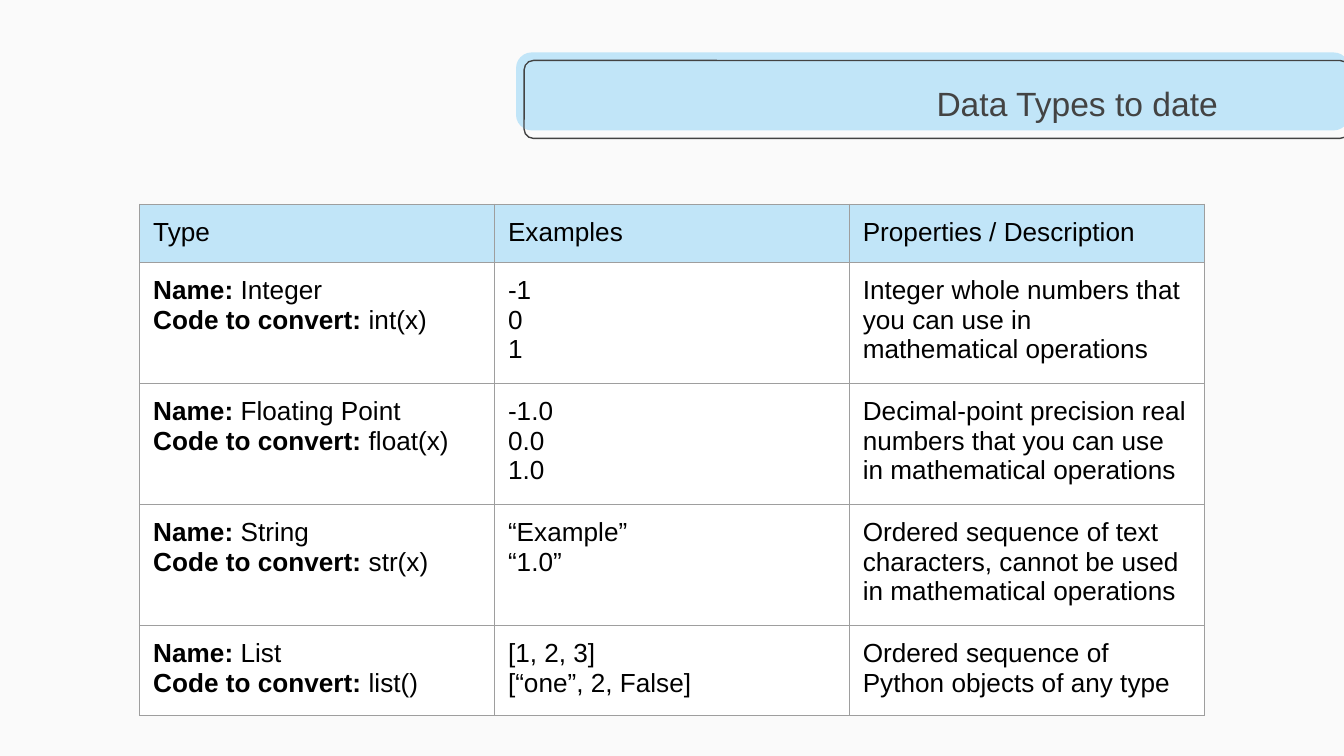
from dataclasses import dataclass

from lxml.etree import SubElement
from pptx import Presentation
from pptx.dml.color import RGBColor
from pptx.enum.shapes import MSO_SHAPE as Preset
from pptx.enum.text import MSO_ANCHOR as Anchor, PP_ALIGN as Align
from pptx.oxml.ns import qn
from pptx.shapes.autoshape import Shape
from pptx.slide import Slide
from pptx.table import _Cell as Cell
from pptx.text.text import _Paragraph as Paragraph
from pptx.util import Inches, Pt


@dataclass(frozen=True)
class Theme:
    background: str = "FAFAFA"
    accent: str = "C1E5F8"
    dark: str = "434343"
    text: str = "000000"
    cell: str = "FFFFFF"
    border: str = "9E9E9E"
    font: str = "Arial"
    title_size: float = 18
    table_size: float = 14
    line_width: float = 0.75


@dataclass(frozen=True)
class DataType:
    name: str
    conversion: str
    examples: tuple[str, ...]
    description: str


THEME = Theme()
SLIDE_WIDTH = Inches(10)
SLIDE_HEIGHT = SLIDE_WIDTH * 9 // 16
PADDING = Inches(0.1)
COLUMN_WIDTH, ROW_HEIGHT = Inches(2.64), Inches(0.42)
HEADERS = ("Type", "Examples", "Properties / Description")
DATA_TYPES = (
    DataType("Integer", "int(x)", ("-1", "0", "1"),
             "Integer whole numbers that you can use in mathematical operations"),
    DataType("Floating Point", "float(x)", ("-1.0", "0.0", "1.0"),
             "Decimal-point precision real numbers that you can use in "
             "mathematical operations"),
    DataType("String", "str(x)", ("“Example”", "“1.0”"),
             "Ordered sequence of text characters, cannot be used in "
             "mathematical operations"),
    DataType("List", "list()", ("[1, 2, 3]", "[“one”, 2, False]"),
             "Ordered sequence of Python objects of any type"),
)

# A line of text is a bold label (possibly empty) and a plain value.
Line = tuple[str, str]


def rgb(value: str) -> RGBColor:
    return RGBColor.from_string(value)


def style_paragraph(paragraph: Paragraph, size: float, color: str) -> None:
    paragraph.line_spacing = 1.0
    paragraph.space_before = paragraph.space_after = Pt(0)
    paragraph.font.name = THEME.font
    paragraph.font.size = Pt(size)
    paragraph.font.color.rgb = rgb(color)


def add_banner(slide: Slide, left: float, top: float, width: float,
               rounding: float) -> Shape:
    """Add a rounded banner with neither fill nor line."""
    banner = slide.shapes.add_shape(Preset.ROUNDED_RECTANGLE, Inches(left),
                                    Inches(top), Inches(width), Inches(0.58))
    banner.adjustments[0] = rounding
    banner.shadow.inherit = False
    banner.fill.background()
    banner.line.fill.background()
    return banner


def add_title(slide: Slide) -> None:
    backdrop = add_banner(slide, 3.84, 0.39, 6.2, 0.2)
    backdrop.fill.solid()
    backdrop.fill.fore_color.rgb = rgb(THEME.accent)
    outline = add_banner(slide, 3.9, 0.45, 6.14, 0.12)
    outline.line.color.rgb = rgb(THEME.dark)
    outline.line.width = Pt(THEME.line_width)

    title = slide.shapes.add_textbox(Inches(5.67), Inches(0.5),
                                     Inches(3.49), Inches(0.53))
    frame = title.text_frame
    frame.word_wrap = True
    frame.vertical_anchor = Anchor.MIDDLE
    frame.margin_left = frame.margin_right = PADDING
    frame.margin_top = frame.margin_bottom = PADDING
    paragraph = frame.paragraphs[0]
    paragraph.text = "Data Types to date"
    paragraph.alignment = Align.RIGHT
    style_paragraph(paragraph, THEME.title_size, THEME.dark)


def add_borders(cell: Cell) -> None:
    properties = cell._tc.get_or_add_tcPr()
    for position, side in enumerate(("lnL", "lnR", "lnT", "lnB")):
        line = SubElement(properties, qn(f"a:{side}"), w=str(Pt(THEME.line_width)))
        fill = SubElement(line, qn("a:solidFill"))
        SubElement(fill, qn("a:srgbClr"), val=THEME.border)
        properties.insert(position, line)  # borders must precede the cell fill


def fill_cell(cell: Cell, lines: list[Line], color: str) -> None:
    cell.margin_left = cell.margin_right = PADDING
    cell.margin_top = cell.margin_bottom = PADDING
    cell.fill.solid()
    cell.fill.fore_color.rgb = rgb(color)
    add_borders(cell)
    frame = cell.text_frame
    for index, (label, value) in enumerate(lines):
        paragraph = frame.add_paragraph() if index else frame.paragraphs[0]
        style_paragraph(paragraph, THEME.table_size, THEME.text)
        for text, bold in ((label, True), (value, False)):
            if text:
                run = paragraph.add_run()
                run.text = text
                run.font.bold = bold


def row_lines(data_type: DataType) -> list[list[Line]]:
    return [
        [("Name: ", data_type.name), ("Code to convert:", f" {data_type.conversion}")],
        [("", example) for example in data_type.examples],
        [("", data_type.description)],
    ]


def add_type_table(slide: Slide) -> None:
    rows = [[[("", header)] for header in HEADERS], *map(row_lines, DATA_TYPES)]
    table = slide.shapes.add_table(
        len(rows), len(HEADERS), Inches(1.04), Inches(1.52),
        COLUMN_WIDTH * len(HEADERS), ROW_HEIGHT * len(rows)).table
    table.first_row = table.horz_banding = False
    for row_index, row in enumerate(rows):
        color = THEME.cell if row_index else THEME.accent
        for column_index, lines in enumerate(row):
            fill_cell(table.cell(row_index, column_index), lines, color)


def main() -> None:
    presentation = Presentation()
    presentation.slide_width = SLIDE_WIDTH
    presentation.slide_height = SLIDE_HEIGHT
    slide = presentation.slides.add_slide(presentation.slide_layouts[6])
    slide.background.fill.solid()
    slide.background.fill.fore_color.rgb = rgb(THEME.background)
    add_title(slide)
    add_type_table(slide)
    presentation.save("out.pptx")


if __name__ == "__main__":
    main()
